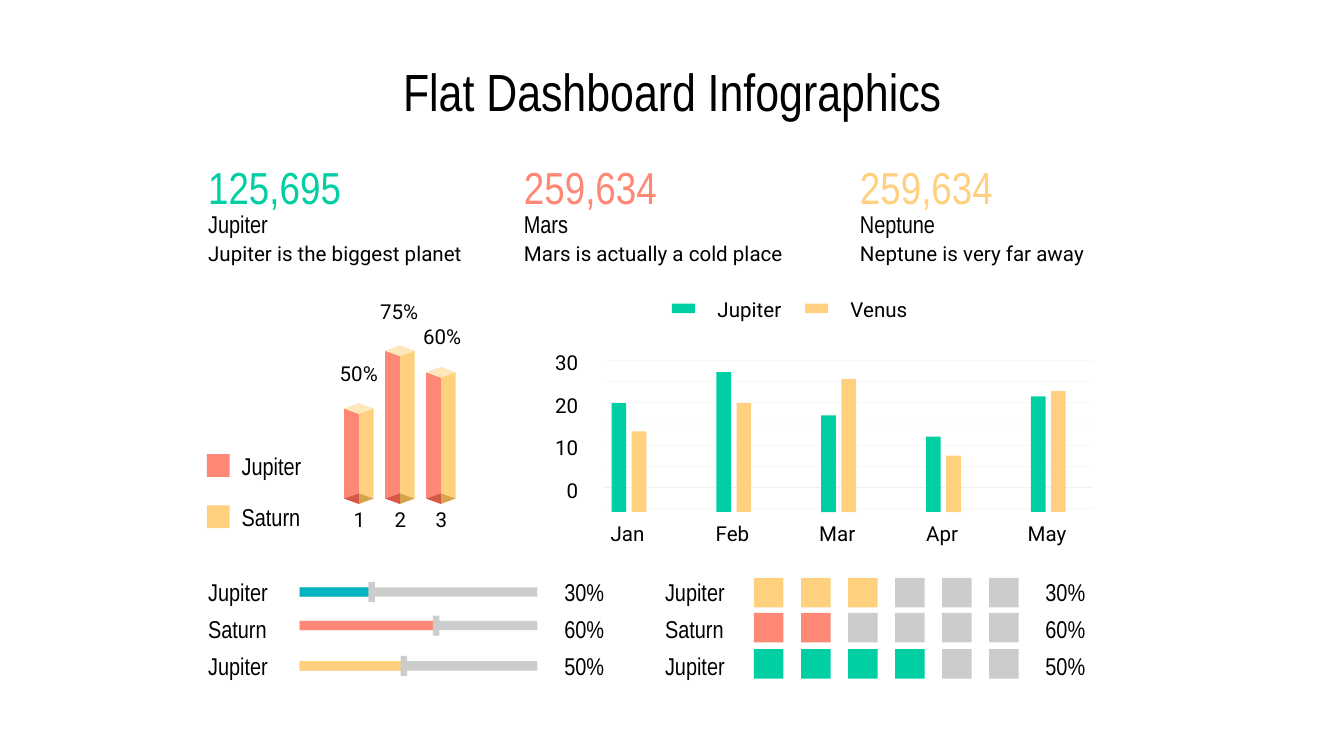
from pptx import Presentation
from pptx.dml.color import RGBColor
from pptx.enum.shapes import MSO_SHAPE
from pptx.enum.text import MSO_ANCHOR, PP_ALIGN
from pptx.util import Inches, Pt

COLORS = {
    "text": "000000", "green": "00CFA4", "coral": "FF8775", "yellow": "FFD07E",
    "teal": "00B3BE", "gray": "CCCCCC", "grid": "E9E9EB",
    "cream": "FFE7BC", "dark_yellow": "D6A44D", "dark_coral": "D65846",
}
HEAD, BODY = "Arial Narrow", "Roboto"
LEFT, CENTER, RIGHT = PP_ALIGN.LEFT, PP_ALIGN.CENTER, PP_ALIGN.RIGHT


class Dashboard:
    """Holds the style and the current slide."""

    def __init__(self, slide):
        self.shapes = slide.shapes

    def color(self, name):
        return RGBColor.from_string(COLORS[name])

    def paint(self, sp, color):
        sp.shadow.inherit = False
        sp.fill.solid()
        sp.fill.fore_color.rgb = self.color(color)
        sp.line.fill.background()

    def text(self, text, x, y, w, h, size=13, font=HEAD, color="text",
             align=LEFT, anchor=MSO_ANCHOR.MIDDLE):
        tf = self.shapes.add_textbox(Inches(x), Inches(y), Inches(w), Inches(h)).text_frame
        tf.word_wrap = True
        tf.vertical_anchor = anchor
        tf.margin_left = tf.margin_right = tf.margin_top = tf.margin_bottom = Inches(0.1)
        p = tf.paragraphs[0]
        p.text = text
        p.alignment = align
        p.font.size = Pt(size)
        p.font.name = font
        p.font.color.rgb = self.color(color)

    def label(self, text, x, y, w, h=0.35, align=CENTER):
        self.text(text, x, y, w, h, size=11, font=BODY, align=align)

    def rect(self, x, y, w, h, color):
        sp = self.shapes.add_shape(MSO_SHAPE.RECTANGLE, Inches(x), Inches(y),
                                   Inches(w), Inches(h))
        self.paint(sp, color)

    def outline(self, contours, color):
        """One filled shape made of one or more closed contours."""
        fb = None
        for contour in contours:
            start, *rest = [(Inches(x), Inches(y)) for x, y in contour]
            if fb is None:
                fb = self.shapes.build_freeform(*start)
            else:
                fb.move_to(*start)
            fb.add_line_segments(rest, close=True)
        self.paint(fb.convert_to_shape(), color)

    def grid(self, left, right, top, step, count):
        thickness = Pt(0.2).inches
        rows = [top + step * i for i in range(count)]
        self.outline([[(left, y), (left, y + thickness), (right, y + thickness), (right, y)]
                      for y in rows], "grid")

    def prism(self, x, top, bottom):
        """Two-sided column centred on x, with a lid and a shaded foot."""
        half, rise = 0.11, 0.04
        shoulder, foot = top + rise, bottom - rise
        lid_front, foot_back = top + 2 * rise, bottom - 2 * rise
        for side, face, shade in ((half, "yellow", "dark_yellow"),
                                  (-half, "coral", "dark_coral")):
            edge = x + side
            self.outline([[(edge, shoulder), (x, lid_front), (x, foot_back), (edge, foot)]], face)
            self.outline([[(x, foot_back), (x, bottom), (edge, foot)]], shade)
        self.outline([[(x, top), (x - half, shoulder), (x, lid_front), (x + half, shoulder)]],
                     "cream")

    def slider(self, y, fill, knob_x, color):
        x, w, h = 2.23, 1.77, 0.07
        self.rect(x, y, w, h, "gray")
        self.rect(x, y, fill, h, color)
        self.rect(knob_x, y - 0.04, 0.05, 0.15, "gray")

    def squares(self, y, count, color):
        for i in range(6):
            self.rect(5.61 + 0.35 * i, y, 0.22, 0.22, color if i < count else "gray")


def main():
    prs = Presentation()
    prs.slide_width = Inches(10)
    prs.slide_height = prs.slide_width * 9 // 16
    s = Dashboard(prs.slides.add_slide(prs.slide_layouts[6]))

    # Title
    s.text("Flat Dashboard Infographics", 0.45, 0.34, 9.1, 0.63, size=28,
           align=CENTER, anchor=MSO_ANCHOR.TOP)

    # Sliders
    for y, fill, knob_x, color in ((4.37, 0.52, 2.74, "teal"), (4.62, 1.02, 3.22, "coral"),
                                   (4.92, 0.78, 2.98, "yellow")):
        s.slider(y, fill, knob_x, color)

    # Column prisms
    prism_xs = [2.67 + 0.305 * i for i in range(3)]
    for x, top in zip(prism_xs, (3, 2.57, 2.73)):
        s.prism(x, top, 3.75)

    # Monthly bars: grid, value axis and month names
    s.grid(4.5, 8.13, 2.68, 0.158, 8)
    for i, value in enumerate(("30", "20", "10", "0")):
        s.label(value, 3.98, 2.52 + 0.317 * i, 0.42, align=RIGHT)
    for i, month in enumerate(("Jan", "Feb", "Mar", "Apr", "May")):
        s.label(month, 4.4 + 0.78 * i, 3.79, 0.54)

    # Prism legend and numbers
    for y, planet, color in ((3.38, "Jupiter", "coral"), (3.76, "Saturn", "yellow")):
        s.rect(1.54, y, 0.17, 0.17, color)
        s.text(planet, 1.7, y - 0.05, 0.71, 0.27)
    for i, x in enumerate(prism_xs, start=1):
        s.label(str(i), x - 0.15, 3.69, 0.31)

    # Key figures
    for x, w, figure, planet, note, color in (
            (1.45, 2.09, "125,695", "Jupiter", "Jupiter is the biggest planet", "green"),
            (3.8, 2.25, "259,634", "Mars", "Mars is actually a cold place", "coral"),
            (6.3, 2.25, "259,634", "Neptune", "Neptune is very far away", "yellow")):
        s.text(figure, x, 1.25, 1.32, 0.27, size=24, color=color)
        s.label(note, x, 1.72, w, 0.33, LEFT)
        s.text(planet, x, 1.53, w, 0.27)

    # Prism percentages
    for share, x, y in (("50%", 2.41, 2.6), ("75%", 2.71, 2.14), ("60%", 3.03, 2.33)):
        s.label(share, x, y, 0.52)

    # Square meters, and the row labels they share with the sliders
    for y, planet, share, square_y, count, color in (
            (4.27, "Jupiter", "30%", 4.3, 3, "yellow"),
            (4.54, "Saturn", "60%", 4.56, 2, "coral"),
            (4.82, "Jupiter", "50%", 4.83, 4, "green")):
        s.squares(square_y, count, color)
        for name_x, share_x in ((1.45, 4.1), (4.85, 7.68)):
            s.text(planet, name_x, y, 0.71, 0.27)
            s.text(share, share_x, y, 0.52, 0.27)

    # Monthly legend and bars
    for x, planet, color in ((5, "Jupiter", "green"), (5.99, "Venus", "yellow")):
        s.rect(x, 2.26, 0.17, 0.07, color)
        s.label(planet, x + 0.24, 2.15, 0.84, 0.3, LEFT)
    base = 3.81
    for i, (jupiter, venus) in enumerate(((0.81, 0.6), (1.04, 0.81), (0.72, 0.99),
                                          (0.56, 0.42), (0.86, 0.9))):
        x = 4.55 + 0.78 * i
        s.rect(x, base - jupiter, 0.11, jupiter, "green")
        s.rect(x + 0.15, base - venus, 0.11, venus, "yellow")

    prs.save("out.pptx")


if __name__ == "__main__":
    main()
